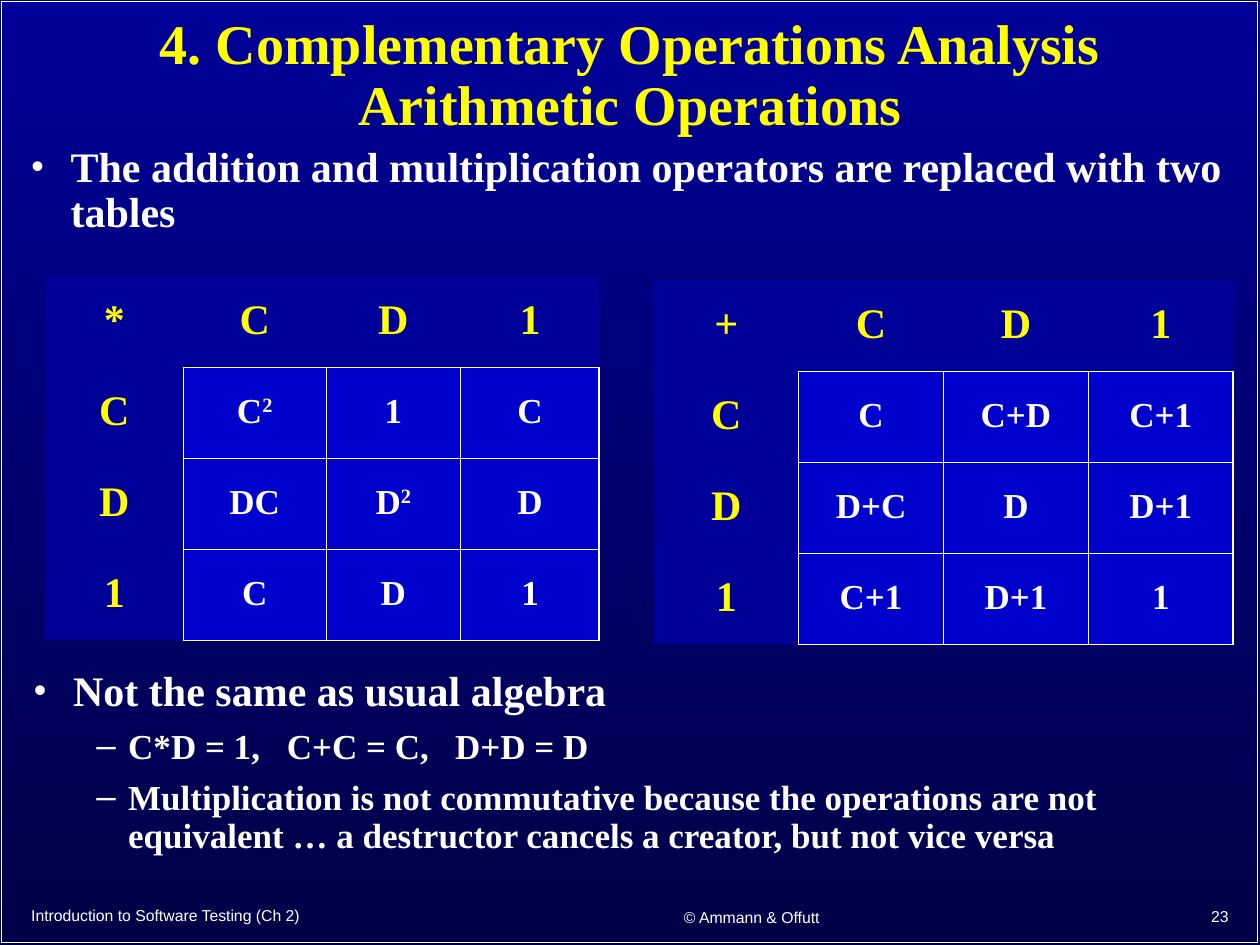
"""Build the slide on complementary operations for arithmetic operators."""
import pptx
import pptx.dml.color
import pptx.enum.shapes
import pptx.enum.text
import pptx.oxml
import pptx.oxml.ns
import pptx.util
from lxml import etree

Cm, Pt = pptx.util.Cm, pptx.util.Pt
ALIGN, ANCHOR = pptx.enum.text.PP_ALIGN, pptx.enum.text.MSO_ANCHOR
COLOURS = {"top": "000099", "bottom": "000047", "inner": "0000CC", "yellow": "FFFF00", "white": "FFFFFF"}
RGB = {name: pptx.dml.color.RGBColor.from_string(value) for name, value in COLOURS.items()}
SERIF, SANS = {"name": "Times New Roman", "bold": True}, {"name": "Arial", "bold": False}
LOOKS = {
    "title": ("yellow", {**SERIF, "size": Pt(32)}),
    "heading": ("yellow", {**SERIF, "size": Pt(24)}),
    "point": ("white", {**SERIF, "size": Pt(24)}),
    "detail": ("white", {**SERIF, "size": Pt(20)}),
    "footer": ("white", {**SANS, "size": Pt(9)}),
}


def write(paragraph, words, look, **layout):
    """Fill a paragraph; a part after ^ is set as superscript."""
    colour, font_values = LOOKS[look]
    for name, value in {"space_before": Pt(0), **layout}.items():
        setattr(paragraph, name, value)
    for position, part in enumerate(words.split("^")):
        run = paragraph.add_run()
        run.text = part
        for name, value in font_values.items():
            setattr(run.font, name, value)
        run.font.color.rgb = RGB[colour]
        if position:
            run._r.get_or_add_rPr().set("baseline", "30000")


def add_xml(parent, markup):
    """Append a DrawingML fragment to its parent."""
    parent.append(pptx.oxml.parse_xml(markup.replace(">", f" {pptx.oxml.ns.nsdecls('a')}>", 1)))


deck = pptx.Presentation()
deck.slide_width, deck.slide_height = Cm(25.4), Cm(19.05)
slide = deck.slides.add_slide(deck.slide_layouts[3])
backdrop = slide.background.fill
backdrop.gradient()
backdrop.gradient_angle = 270
for stop, shade in zip(backdrop.gradient_stops, ("top", "bottom")):
    stop.color.rgb = RGB[shade]

title, opening, remarks = slide.placeholders
PLACES = (
    (title, (1.91, 0.28, 21.59, 2.54), ANCHOR.MIDDLE),
    (opening, (0.38, 2.82, 24.54, 2.44), ANCHOR.TOP),
    (remarks, (0.43, 13.39, 24.54, 3.94), ANCHOR.TOP),
)
for holder, place, anchor in PLACES:
    for side, length in zip(("left", "top", "width", "height"), place):
        setattr(holder, side, Cm(length))
    for name, value in {"vertical_anchor": anchor, "word_wrap": True,
                        "auto_size": pptx.enum.text.MSO_AUTO_SIZE.NONE}.items():
        setattr(holder.text_frame, name, value)

frame = slide.shapes.add_shape(pptx.enum.shapes.MSO_SHAPE.RECTANGLE, Cm(0.03), Cm(0.03), Cm(25.32), Cm(18.97))
frame.shadow.inherit = False
frame.fill.background()
frame.line.color.rgb, frame.line.width = RGB["white"], Pt(1)
slide.shapes._spTree.insert(2, frame._element)

write(title.text_frame.paragraphs[0], "4. Complementary Operations Analysis Arithmetic Operations",
      "title", alignment=ALIGN.CENTER, line_spacing=0.9)

LISTS = (
    (opening, [(0, "The addition and multiplication operators are replaced with two tables")]),
    (remarks, [(0, "Not the same as usual algebra"),
               (1, "C*D = 1,\tC+C = C,\tD+D = D"),
               (1, "Multiplication is not commutative because the operations are not equivalent … "
                   "a destructor cancels a creator, but not vice versa")]),
)
LEVELS = (("point", "•", 85, 0.79, -0.79), ("detail", "–", 100, 1.9, -0.64))
for holder, points in LISTS:
    for number, (level, words) in enumerate(points):
        look, bullet, bullet_size, margin, indent = LEVELS[level]
        paragraph = holder.text_frame.add_paragraph() if number else holder.text_frame.paragraphs[0]
        properties = paragraph._p.get_or_add_pPr()
        properties.set("marL", str(Cm(margin)))
        properties.set("indent", str(Cm(indent)))
        add_xml(properties, f'<a:buClr><a:srgbClr val="{COLOURS["white"]}"/></a:buClr>')
        add_xml(properties, f'<a:buSzPct val="{bullet_size * 1000}"></a:buSzPct>')
        add_xml(properties, f'<a:buChar char="{bullet}"></a:buChar>')
        if "\t" in words:
            stops = "".join(f'<a:tab pos="{Cm(stop)}" algn="l"/>' for stop in (5.1, 8.49))
            add_xml(properties, f"<a:tabLst>{stops}</a:tabLst>")
        write(paragraph, words, look, level=level, line_spacing=0.9, space_before=Pt(7.5 if number else 0))

TABLES = (
    ((0.91, 5.56), (2.79, 2.87, 2.72, 2.79),
     ("* C D 1", "C C^2 1 C", "D DC D^2 D", "1 C D 1")),
    ((13.18, 5.64), (2.92,) * 4,
     ("+ C D 1", "C C C+D C+1", "D D+C D D+1", "1 C+1 D+1 1")),
)
ROW_HEIGHTS = (1.85, 1.83, 1.83, 1.83)
for (left, top), widths, lines in TABLES:
    grid = slide.shapes.add_table(4, 4, Cm(left), Cm(top), Cm(sum(widths)), Cm(sum(ROW_HEIGHTS))).table
    grid.first_row = grid.horz_banding = False
    for column, width in zip(grid.columns, widths):
        column.width = Cm(width)
    for row, (height, line) in enumerate(zip(ROW_HEIGHTS, lines)):
        grid.rows[row].height = Cm(height)
        for col, entry in enumerate(line.split()):
            cell = grid.cell(row, col)
            inner = row > 0 and col > 0
            drawn = "LRTB" if inner else "B" if col else "R" if row else ""
            for side in "LRTB":
                weight = Pt(1.08 if side == "R" and col == 3 else 0.45)
                paint = (f'<a:solidFill><a:srgbClr val="{COLOURS["white"]}"/></a:solidFill>'
                         if side in drawn else "<a:noFill/>")
                add_xml(cell._tc.get_or_add_tcPr(), f'<a:ln{side} w="{weight}">{paint}</a:ln{side}>')
            cell.fill.solid()
            cell.fill.fore_color.rgb = RGB["inner" if inner else "top"]
            cell.vertical_anchor = ANCHOR.MIDDLE
            write(cell.text_frame.paragraphs[0], entry, "detail" if inner else "heading",
                  alignment=ALIGN.CENTER, line_spacing=0.9)

FOOTERS = (
    ("Introduction to Software Testing (Ch 2)", (0.38, 18.03, 10.34, 0.84), ALIGN.LEFT),
    ("© Ammann & Offutt", (11.13, 18.06, 8.05, 0.86), ALIGN.CENTER),
    ("23", (19.74, 18.03, 5.28, 0.89), ALIGN.RIGHT),
)
for words, place, alignment in FOOTERS:
    footer = slide.shapes.add_textbox(*map(Cm, place)).text_frame
    footer.word_wrap, footer.vertical_anchor = True, ANCHOR.MIDDLE
    write(footer.paragraphs[0], words, "footer", alignment=alignment)

deck.save("out.pptx")
